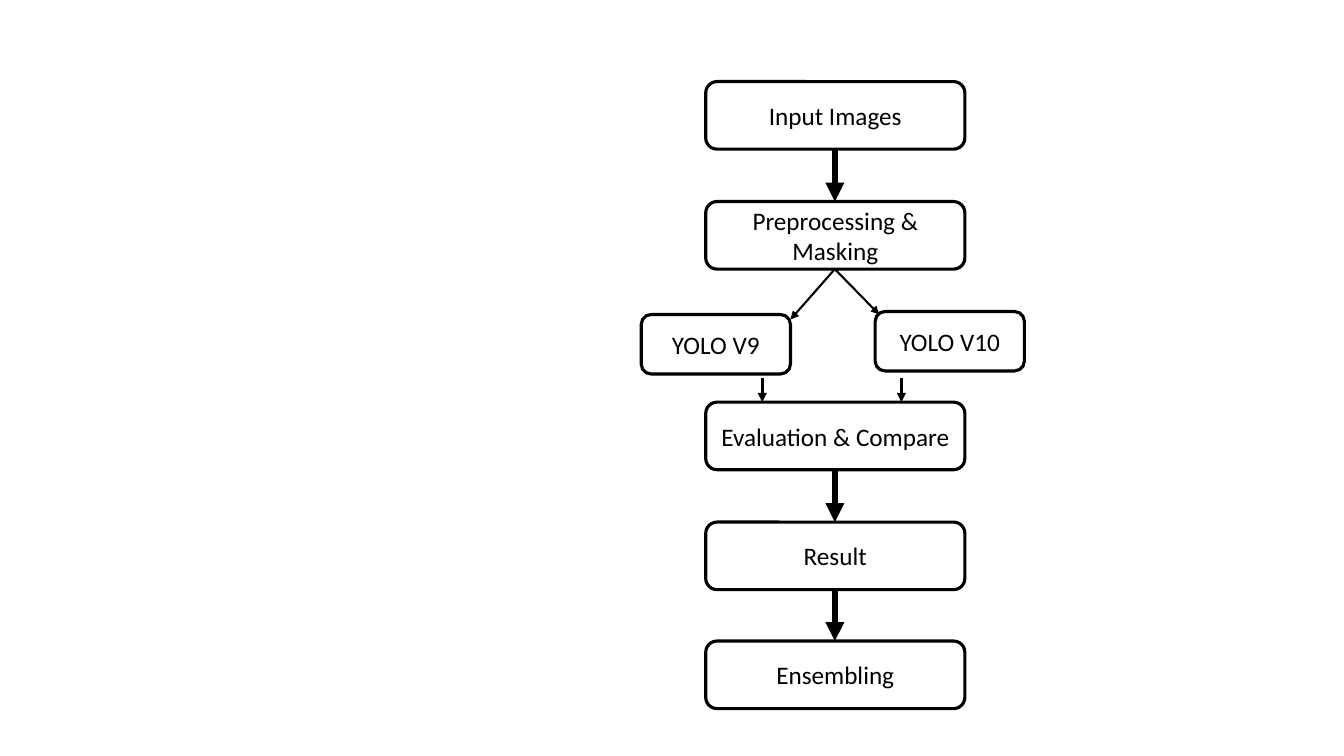
from pptx import Presentation
from pptx.dml.color import RGBColor
from pptx.enum.shapes import MSO_CONNECTOR as Connector, MSO_SHAPE as Shape
from pptx.enum.text import MSO_ANCHOR as Anchor, PP_ALIGN as Align
from pptx.oxml.ns import qn
from pptx.util import Inches, Pt
from lxml.etree import SubElement

COLORS = {"ink": "000000"}
FONT = "Calibri"
STEP_LEFT, STEP_WIDTH, STEP_HEIGHT = 7, 2.57, 0.67
MODEL_WIDTH, MODEL_HEIGHT = 1.48, 0.59
CENTER = 8.28
STEPS = {
    "Input Images": 0.81,
    "Preprocessing & Masking": 2,
    "Evaluation & Compare": 3.99,
    "Result": 5.18,
    "Ensembling": 6.36,
}
MODELS = {"YOLO V9": (6.36, 3.12), "YOLO V10": (8.68, 3.09)}


def ink():
    return RGBColor.from_string(COLORS["ink"])


def add_step(slide, label, left, top, width, height):
    step = slide.shapes.add_shape(
        Shape.ROUNDED_RECTANGLE, Inches(left), Inches(top), Inches(width), Inches(height)
    )
    step.shadow.inherit = False
    step.fill.background()
    step.line.color.rgb = ink()
    step.line.width = Pt(2.25)
    frame = step.text_frame
    frame.word_wrap = True
    frame.vertical_anchor = Anchor.MIDDLE
    frame.text = label
    paragraph = frame.paragraphs[0]
    paragraph.alignment = Align.CENTER
    font = paragraph.runs[0].font
    font.name = FONT
    font.size = Pt(18)
    font.color.rgb = ink()


def add_arrow(slide, start, end, weight):
    arrow = slide.shapes.add_connector(
        Connector.STRAIGHT, *(Inches(length) for length in (*start, *end))
    )
    arrow.line.color.rgb = ink()
    arrow.line.width = Pt(weight)
    SubElement(arrow.line._get_or_add_ln(), qn("a:tailEnd"), type="triangle")
    SubElement(arrow._element.spPr, qn("a:effectLst"))


def main():
    deck = Presentation()
    deck.slide_width, deck.slide_height = Inches(13.33), Inches(7.5)
    slide = deck.slides.add_slide(deck.slide_layouts[6])

    for label, top in STEPS.items():
        add_step(slide, label, STEP_LEFT, top, STEP_WIDTH, STEP_HEIGHT)
    for label, (left, top) in MODELS.items():
        add_step(slide, label, left, top, MODEL_WIDTH, MODEL_HEIGHT)

    tops = list(STEPS.values())
    for upper, lower in ((0, 1), (2, 3), (3, 4)):
        add_arrow(slide, (CENTER, tops[upper] + STEP_HEIGHT), (CENTER, tops[lower]), 4.5)

    split = (CENTER, tops[1] + STEP_HEIGHT)
    for model_corner in ((7.84, 3.17), (8.72, 3.12)):
        add_arrow(slide, split, model_corner, 1.5)
    for merge_x in (7.56, 8.94):
        add_arrow(slide, (merge_x, 3.75), (merge_x, tops[2]), 2.25)

    deck.save("out.pptx")


if __name__ == "__main__":
    main()
